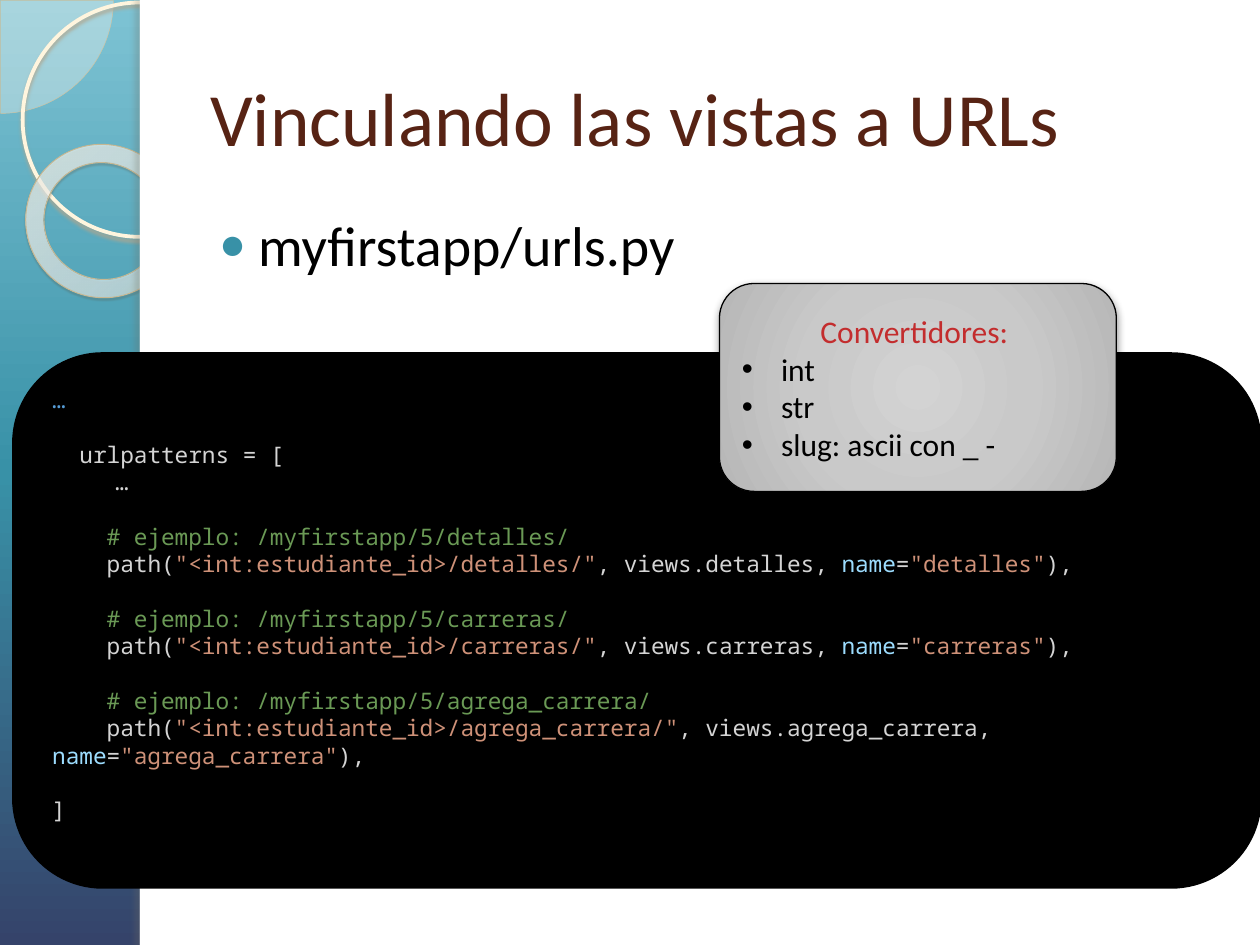
from dataclasses import dataclass
from typing import NamedTuple, Optional

from lxml.etree import SubElement
from pptx import Presentation
from pptx.dml.color import RGBColor
from pptx.enum.shapes import MSO_SHAPE as Preset
from pptx.enum.text import MSO_ANCHOR as Anchor, PP_ALIGN as Align
from pptx.oxml import parse_xml
from pptx.oxml.ns import nsdecls, qn
from pptx.util import Inches, Pt

WHITE = RGBColor(0xFF, 0xFF, 0xFF)
BLACK = RGBColor(0x00, 0x00, 0x00)
BROWN = RGBColor(0x57, 0x23, 0x14)
TEAL = RGBColor(0x38, 0x91, 0xA7)
AQUA = RGBColor(0x7E, 0xC3, 0xD4)
NAVY = RGBColor(0x35, 0x43, 0x6A)
IVORY = RGBColor(0xFE, 0xFA, 0xF4)
CREAM = RGBColor(0xFF, 0xF5, 0xDE)
SAND = RGBColor(0xD3, 0xC3, 0x9F)
KHAKI = RGBColor(0xC7, 0xB8, 0x93)
RED = RGBColor(0xC3, 0x2D, 0x2E)
CODE_BLUE = RGBColor(0x56, 0x9C, 0xD6)
CODE_PLAIN = RGBColor(0xD4, 0xD4, 0xD4)
CODE_COMMENT = RGBColor(0x6A, 0x99, 0x55)
CODE_STRING = RGBColor(0xCE, 0x91, 0x78)
CODE_KEYWORD = RGBColor(0x9C, 0xDC, 0xFE)
SANS = "Calibri"
MONO = "Noto Sans Mono"
CODE_LINE = 15.6


class Stop(NamedTuple):
    position: int
    color: RGBColor
    opacity: int = 100


class Gradient(NamedTuple):
    stops: list[Stop]
    focus: Optional[tuple[int, int, int, int]] = None


class Shadow(NamedTuple):
    color: RGBColor
    opacity: int
    blur: float
    distance: float
    angle: int


class Span(NamedTuple):
    text: str
    color: RGBColor


class CodeLine(NamedTuple):
    spans: list[Span]
    gap: bool = False


@dataclass
class Figure:
    preset: Preset
    at: tuple[float, float, float, float]
    fill: Optional[RGBColor] = None
    opacity: int = 100
    gradient: Optional[Gradient] = None
    line: Optional[RGBColor] = None
    weight: float = 0
    shadow: Optional[Shadow] = None
    adjustments: tuple[float, ...] = ()
    rotation: float = 0


def add_color(parent, color: RGBColor, opacity: int) -> None:
    element = SubElement(parent, qn("a:srgbClr"), val=str(color))
    if opacity < 100:
        SubElement(element, qn("a:alpha"), val=str(opacity * 1000))


def apply_gradient(shape, gradient: Gradient) -> None:
    shape.fill.background()
    element = parse_xml(f'<a:gradFill {nsdecls("a")} rotWithShape="1"/>')
    stops = SubElement(element, qn("a:gsLst"))
    for stop in gradient.stops:
        holder = SubElement(stops, qn("a:gs"), pos=str(stop.position * 1000))
        add_color(holder, stop.color, stop.opacity)
    if gradient.focus:
        radial = SubElement(element, qn("a:path"), path="circle")
        edges = {side: str(value * 1000) for side, value in zip("ltrb", gradient.focus)}
        SubElement(radial, qn("a:fillToRect"), **edges)
    else:
        SubElement(element, qn("a:lin"), ang="5400000", scaled="0")
    properties = shape.element.spPr
    properties.replace(properties.find(qn("a:noFill")), element)


def draw_figure(page, figure: Figure):
    shape = page.shapes.add_shape(figure.preset, *map(Inches, figure.at))
    shape.rotation = figure.rotation
    for index, value in enumerate(figure.adjustments):
        shape.adjustments[index] = value
    if figure.gradient:
        apply_gradient(shape, figure.gradient)
    elif figure.fill is not None:
        shape.fill.solid()
        shape.fill.fore_color.rgb = figure.fill
        if figure.opacity < 100:
            color = shape.element.spPr.find(qn("a:solidFill"))[0]
            SubElement(color, qn("a:alpha"), val=str(figure.opacity * 1000))
    else:
        shape.fill.background()
    if figure.line is not None:
        shape.line.color.rgb = figure.line
        shape.line.width = Pt(figure.weight)
    else:
        shape.line.fill.background()
    shape.shadow.inherit = False
    if figure.shadow:
        shadow = figure.shadow
        effect = SubElement(
            shape.element.spPr.find(qn("a:effectLst")), qn("a:outerShdw"),
            blurRad=str(Pt(shadow.blur)), dist=str(Pt(shadow.distance)),
            dir=str(shadow.angle * 60000), algn="ctr", rotWithShape="0")
        add_color(effect, shadow.color, shadow.opacity)
    return shape


def add_span(para, span: Span, size: float, font: str = SANS) -> None:
    run = para.add_run()
    run.text = span.text
    run.font.size = Pt(size)
    run.font.name = font
    run.font.color.rgb = span.color


def add_bullet(para, mark: str, margin: float, color: RGBColor, scale: int = 100) -> None:
    properties = para._p.get_or_add_pPr()
    properties.set("marL", str(Inches(margin)))
    properties.set("indent", str(Inches(-0.31)))
    add_color(SubElement(properties, qn("a:buClr")), color, 100)
    SubElement(properties, qn("a:buSzPct"), val=str(scale * 1000))
    SubElement(properties, qn("a:buFont"), typeface="Arial")
    SubElement(properties, qn("a:buChar"), char=mark)


def add_text_box(page, left: float, top: float, width: float, height: float, anchor: Anchor):
    frame = page.shapes.add_textbox(*map(Inches, (left, top, width, height))).text_frame
    frame.word_wrap = True
    frame.vertical_anchor = anchor
    return frame.paragraphs[0]


def route_lines(view: str) -> list[CodeLine]:
    return [
        CodeLine([Span("    ", CODE_PLAIN),
                  Span(f"# ejemplo: /myfirstapp/5/{view}/", CODE_COMMENT)], gap=True),
        CodeLine([Span("    path(", CODE_PLAIN),
                  Span(f'"<int:estudiante_id>/{view}/"', CODE_STRING),
                  Span(f", views.{view}, ", CODE_PLAIN), Span("name", CODE_KEYWORD),
                  Span("=", CODE_PLAIN), Span(f'"{view}"', CODE_STRING),
                  Span("),", CODE_PLAIN)]),
    ]


def draw_code(page) -> None:
    panel = draw_figure(page, Figure(Preset.ROUNDED_RECTANGLE, (0.11, 2.81, 9.89, 4.23),
                                     fill=BLACK, line=BLACK, weight=2))
    frame = panel.text_frame
    frame.word_wrap = True
    frame.vertical_anchor = Anchor.TOP
    lines = [CodeLine([Span("…", CODE_BLUE)]),
             CodeLine([Span("  urlpatterns = [", CODE_PLAIN)], gap=True),
             CodeLine([Span("\t…", CODE_PLAIN)])]
    for view in ("detalles", "carreras", "agrega_carrera"):
        lines += route_lines(view)
    lines.append(CodeLine([Span("]", CODE_PLAIN)], gap=True))
    for index, line in enumerate(lines):
        para = frame.add_paragraph() if index else frame.paragraphs[0]
        para.alignment = Align.LEFT
        if line.gap:
            para.space_before = Pt(CODE_LINE)
        for span in line.spans:
            add_span(para, span, 13, MONO)


def draw_converters(page) -> None:
    silver = Gradient([Stop(0, RGBColor(0xD3, 0xD3, 0xD3)), Stop(50, RGBColor(0xC9, 0xC9, 0xC9)),
                       Stop(97, RGBColor(0xB8, 0xB8, 0xB8)), Stop(100, RGBColor(0xB2, 0xB2, 0xB2))],
                      (50, 50, 50, 50))
    card = draw_figure(page, Figure(Preset.ROUNDED_RECTANGLE, (5.71, 2.25, 3.15, 1.65),
                                    gradient=silver, line=BLACK, weight=0.75,
                                    shadow=Shadow(BLACK, 43, 5, 2, 90)))
    frame = card.text_frame
    frame.word_wrap = True
    frame.vertical_anchor = Anchor.MIDDLE
    heading = frame.paragraphs[0]
    heading.alignment = Align.CENTER
    add_span(heading, Span("Convertidores: ", RED), 18)
    for name in ("int", "str", "slug: ascii con _ -"):
        para = frame.add_paragraph()
        para.alignment = Align.LEFT
        add_bullet(para, "•", 0.31, BLACK)
        add_span(para, Span(name, BLACK), 18)


def main() -> None:
    deck = Presentation()
    deck.slide_width, deck.slide_height = Inches(10), Inches(7.5)
    page = deck.slides.add_slide(deck.slide_layouts[6])
    band = Gradient([Stop(0, AQUA), Stop(50, TEAL), Stop(100, NAVY)])
    glass = Gradient([Stop(0, RGBColor(0xFF, 0xFC, 0xF6), 70), Stop(70, RGBColor(0xFF, 0xFE, 0xFB), 55),
                      Stop(100, RGBColor(0xF0, 0xD2, 0x8E), 60)], (-408, -50, 508, 150))
    for figure in (
        Figure(Preset.RECTANGLE, (0, 0, 1.14, 7.5), gradient=band),
        Figure(Preset.PIE, (-0.89, -0.89, 1.79, 1.79), fill=IVORY, opacity=33,
               line=SAND, weight=0.25, adjustments=(0, 54.02)),
        Figure(Preset.OVAL, (0.18, 0.02, 1.86, 1.86), line=CREAM, weight=2.15,
               shadow=Shadow(RGBColor(0xB0, 0xA6, 0x8F), 85, 2, 2, 90)),
        Figure(Preset.DONUT, (0.2, 1.15, 1.23, 1.21), gradient=glass, line=KHAKI, weight=0.58,
               shadow=Shadow(RGBColor(0x5A, 0x54, 0x44), 35, 1, 1.2, 75),
               adjustments=(0.12,), rotation=38.6),
        Figure(Preset.RECTANGLE, (1.11, 0, 8.89, 7.5), fill=WHITE),
        Figure(Preset.RECTANGLE, (1.11, 0, 0.08, 7.5), fill=WHITE,
               shadow=Shadow(RGBColor(0x73, 0x6F, 0x63), 25, 3, 3, 180)),
    ):
        draw_figure(page, figure)
    title = add_text_box(page, 1.57, 0.3, 8.2, 1.25, Anchor.MIDDLE)
    add_span(title, Span("Vinculando las vistas a URLs", BROWN), 43)
    body = add_text_box(page, 1.55, 1.62, 8.2, 0.79, Anchor.TOP)
    add_bullet(body, "●", 0.4, TEAL, 80)
    add_span(body, Span("myfirstapp/urls.py", BLACK), 32)
    draw_code(page)
    draw_converters(page)
    deck.save("out.pptx")


if __name__ == "__main__":
    main()
